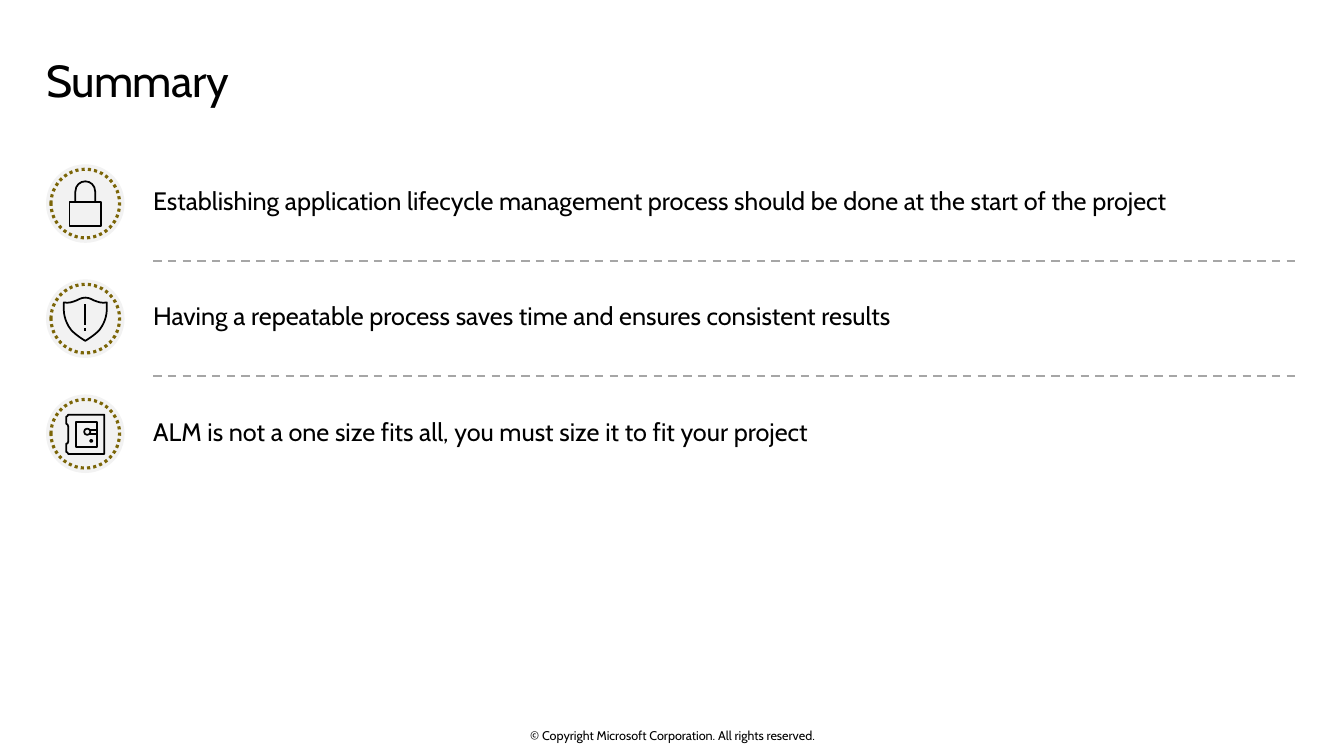
"""Build the Summary slide: three takeaways with round icon badges."""
from lxml.etree import Element, SubElement
from pptx import Presentation
from pptx.dml.color import RGBColor
from pptx.enum.dml import MSO_LINE
from pptx.enum.shapes import MSO_CONNECTOR, MSO_SHAPE
from pptx.enum.text import MSO_ANCHOR, MSO_AUTO_SIZE, PP_ALIGN
from pptx.oxml.ns import qn
from pptx.util import Cm, Pt

BLACK = RGBColor(0x00, 0x00, 0x00)
WHITE = RGBColor(0xFF, 0xFF, 0xFF)
PALE = RGBColor(0xF2, 0xF2, 0xF2)
GOLD = RGBColor(0x7B, 0x65, 0x07)
GREY = RGBColor(0xA6, 0xA6, 0xA6)
FONT = "Cabin"


def circle(cx, cy, r):
    """Return a closed contour of four Bezier quarters around a centre."""
    k = 0.55 * r
    return True, [(cx, cy + r),
                  (cx + k, cy + r, cx + r, cy + k, cx + r, cy),
                  (cx + r, cy - k, cx + k, cy - r, cx, cy - r),
                  (cx - k, cy - r, cx - r, cy - k, cx - r, cy),
                  (cx - r, cy + k, cx - k, cy + r, cx, cy + r)]


LOCK = [
    (True, [(0.4, 0.56), (-0.4, 0.56), (-0.4, -0.03), (0.4, -0.03)]),
    (False, [(0.25, -0.03), (0.25, -0.3), (0.25, -0.46, 0.13, -0.56, 0, -0.56),
             (-0.13, -0.56, -0.25, -0.46, -0.25, -0.3), (-0.25, -0.03)]),
]
SHIELD = [
    (True, [(-0.36, 0.28), (-0.54, 0.05, -0.54, -0.2, -0.54, -0.2), (-0.54, -0.41),
            (-0.54, -0.41, -0.41, -0.38, -0.3, -0.43),
            (-0.18, -0.46, -0.13, -0.53, 0, -0.53),
            (0.13, -0.53, 0.18, -0.46, 0.3, -0.43),
            (0.41, -0.38, 0.54, -0.41, 0.54, -0.41), (0.54, -0.2),
            (0.54, -0.2, 0.54, 0.05, 0.36, 0.28),
            (0.25, 0.41, 0, 0.56, 0, 0.56),
            (0, 0.56, -0.25, 0.41, -0.36, 0.28)]),
    (False, [(0, -0.36), (0, 0.15)]),
    (False, [(0, 0.23), (0, 0.3)]),
]
SAFE = [
    (True, [(0.48, -0.48), (0.48, 0.51), (-0.43, 0.51),
            (-0.43, 0.48, -0.46, 0.46, -0.48, 0.46), (-0.48, 0.25),
            (-0.46, 0.25, -0.43, 0.25, -0.43, 0.2), (-0.43, -0.18),
            (-0.43, -0.23, -0.46, -0.25, -0.48, -0.25), (-0.48, -0.43),
            (-0.46, -0.43, -0.43, -0.46, -0.43, -0.48)]),
    (True, [(0.3, -0.3), (-0.23, -0.3), (-0.23, 0.33), (0.3, 0.33)]),
    circle(0.05, -0.05, 0.08),
    circle(0.15, 0.18, 0.03),
    (False, [(0.1, -0.1), (0.3, -0.1)]),
    (False, [(0.13, 0), (0.3, 0)]),
]

TITLE = "Summary"
TAKEAWAYS = [
    ("Establishing application lifecycle management process should be done "
     "at the start of the project", LOCK),
    ("Having a repeatable process saves time and ensures consistent results", SHIELD),
    ("ALM is not a one size fits all, you must size it to fit your project", SAFE),
]
COPYRIGHT = "© Copyright Microsoft Corporation. All rights reserved."

LEFT, TEXT_LEFT, RULE_RIGHT = 1.17, 3.86, 32.66
FIRST_CENTRE, PITCH, ROW_HEIGHT = 5.13, 2.9, 2.16
BADGE_X, BADGE, RING = 2.15, 1.98, 1.73


def place(sp, left, top, width, height):
    """Move and size a shape, in cm."""
    sp.left, sp.top, sp.width, sp.height = Cm(left), Cm(top), Cm(width), Cm(height)


def write(sp, text, size, anchor, align=PP_ALIGN.LEFT, insets=(0, 0, 0, 0)):
    """Write one formatted paragraph and return it with its run."""
    tf = sp.text_frame
    tf.word_wrap, tf.auto_size, tf.vertical_anchor = True, MSO_AUTO_SIZE.NONE, anchor
    tf.margin_left, tf.margin_top, tf.margin_right, tf.margin_bottom = map(Cm, insets)
    p = tf.paragraphs[0]
    p.alignment, p.space_before = align, Pt(0)
    r = p.add_run()
    r.text = text
    r.font.name, r.font.size, r.font.bold = FONT, Pt(size), False
    r.font.color.rgb = BLACK
    return p, r


def add_disc(shapes, cy, size):
    """Add a circle centred on the badge column."""
    sp = shapes.add_shape(MSO_SHAPE.OVAL, Cm(BADGE_X - size / 2), Cm(cy - size / 2),
                          Cm(size), Cm(size))
    sp.shadow.inherit = False
    return sp


def add_icon(shapes, cy, icon):
    """Draw an outline whose six-number steps become Bezier curves."""
    builder = None
    for closed, steps in icon:
        points = [(round(s[i] * 1000), round(s[i + 1] * 1000))
                  for s in steps for i in range(0, len(s), 2)]
        if builder is None:
            builder = shapes.build_freeform(*points[0], scale=Cm(0.001))
        else:
            builder.move_to(*points[0])
        builder.add_line_segments(points[1:], close=closed)
    sp = builder.convert_to_shape(Cm(BADGE_X), Cm(cy))

    segments = iter(list(sp._element.iter(qn("a:lnTo"))))
    for step in (s for _, steps in icon for s in steps[1:]):
        group = [next(segments) for _ in range(len(step) // 2)]
        if len(group) == 3:
            curve = Element(qn("a:cubicBezTo"))
            group[0].addprevious(curve)
            for segment in group:
                curve.append(segment[0])
                segment.getparent().remove(segment)
    return sp


def add_badge(slide, cy, icon):
    """Add a grouped disc, dotted ring and line icon."""
    shapes = slide.shapes.add_group_shape().shapes
    disc = add_disc(shapes, cy, BADGE)
    disc.fill.solid()
    disc.fill.fore_color.rgb = PALE
    disc.line.fill.background()
    ring = add_disc(shapes, cy, RING)
    ring.fill.background()
    ring.line.color.rgb, ring.line.width = GOLD, Pt(2.25)
    ring.line.dash_style = MSO_LINE.ROUND_DOT
    sp = add_icon(shapes, cy, icon)
    sp.shadow.inherit = False
    sp.fill.background()
    sp.line.color.rgb, sp.line.width = BLACK, Pt(1.25)


def add_rule(slide, y):
    """Add a dashed divider."""
    line = slide.shapes.add_connector(MSO_CONNECTOR.STRAIGHT, Cm(TEXT_LEFT), Cm(y),
                                      Cm(RULE_RIGHT), Cm(y))
    line.line.color.rgb, line.line.width = GREY, Pt(1.5)
    line.line.dash_style = MSO_LINE.DASH
    SubElement(line._element.spPr, qn("a:effectLst"))


def main():
    """Compose and save the slide."""
    prs = Presentation()
    prs.slide_width, prs.slide_height = Cm(33.87), Cm(19.05)
    slide = prs.slides.add_slide(prs.slide_layouts[4])
    slide.background.fill.solid()
    slide.background.fill.fore_color.rgb = WHITE

    title, *bodies = slide.placeholders
    place(title, LEFT, 1.22, 31.5, 1.88)
    p, r = write(title, TITLE, 32, MSO_ANCHOR.TOP, insets=(0, 0.25, 0.41, 0.25))
    p.line_spacing = 0.9
    r._r.get_or_add_rPr().set("spc", "-50")

    for i, (body, (text, icon)) in enumerate(zip(bodies, TAKEAWAYS)):
        cy = FIRST_CENTRE + i * PITCH
        place(body, TEXT_LEFT, cy - ROW_HEIGHT / 2, 28.85, ROW_HEIGHT)
        p, r = write(body, text, 18, MSO_ANCHOR.MIDDLE)
        p.line_spacing = Pt(17.6)
        pPr = p._p.get_or_add_pPr()
        pPr.set("marL", "0")
        pPr.set("indent", "0")
        SubElement(pPr, qn("a:buNone"))
        add_badge(slide, cy, icon)
        if i:
            add_rule(slide, cy - PITCH / 2)
    for body in bodies[len(TAKEAWAYS):]:
        body._element.getparent().remove(body._element)

    footer = slide.shapes.add_textbox(Cm(11.23), Cm(18.34), Cm(11.43), Cm(0.38))
    write(footer, COPYRIGHT, 9, MSO_ANCHOR.MIDDLE, PP_ALIGN.CENTER)
    prs.save("out.pptx")


if __name__ == "__main__":
    main()
